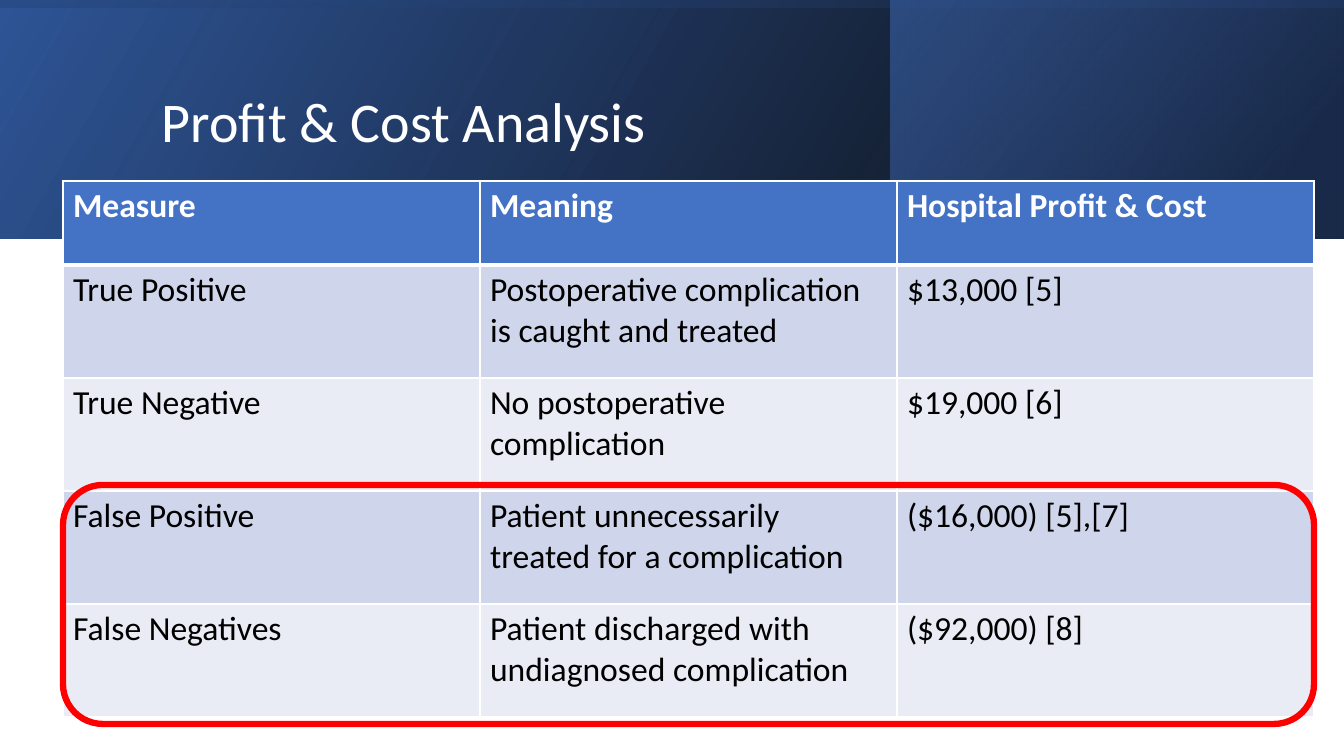
"""Build the Profit & Cost Analysis slide."""
from lxml import etree
from pptx import Presentation
from pptx.dml.color import RGBColor
from pptx.enum.shapes import MSO_SHAPE
from pptx.enum.text import MSO_ANCHOR
from pptx.oxml import parse_xml
from pptx.oxml.ns import nsdecls, qn
from pptx.util import Pt

RECTANGLE = MSO_SHAPE.RECTANGLE
ROUNDED = MSO_SHAPE.ROUNDED_RECTANGLE
MIDDLE = MSO_ANCHOR.MIDDLE

WHITE = RGBColor(0xFF, 0xFF, 0xFF)
BLACK = RGBColor(0x00, 0x00, 0x00)
RED = RGBColor(0xFF, 0x00, 0x00)
BLUE = RGBColor(0x44, 0x72, 0xC4)
MID_BLUE = RGBColor(0x2F, 0x55, 0x97)
NAVY = RGBColor(0x20, 0x38, 0x64)
BAND_DARK = RGBColor(0xCF, 0xD5, 0xEA)
BAND_LIGHT = RGBColor(0xE9, 0xEB, 0xF5)

FONT = "Calibri"
PX = 914400 / 100.8


def px(*lengths):
    return [round(length * PX) for length in lengths]


def write(frame, text, size=24, color=BLACK, bold=False, spacing=None):
    frame.word_wrap = True
    paragraph = frame.paragraphs[0]
    paragraph.line_spacing = spacing
    run = paragraph.add_run()
    run.text = text
    run.font.name = FONT
    run.font.size = Pt(size)
    run.font.bold = bold
    run.font.color.rgb = color


prs = Presentation()
prs.slide_width, prs.slide_height = px(1344, 756)
slide = prs.slides.add_slide(prs.slide_layouts[6])

BANNER_LAYERS = [
    ((0, 0, 1344, 239), 0, 330, [(0, BLACK, 96), (100, MID_BLUE, 100)]),
    ((891, 0, 452, 239), 0, 320, [(19, NAVY, 68), (100, BLUE, 48)]),
    ((552, -552, 239, 1344), 270, 350, [(23, MID_BLUE, 16), (99, BLACK, 45)]),
]
BANNER_LAYERS[0][3][1] = (100, MID_BLUE, 100)
for box, rotation, angle, stops in BANNER_LAYERS:
    layer = slide.shapes.add_shape(RECTANGLE, *px(*box))
    layer.shadow.inherit = False
    layer.rotation = rotation
    layer.line.fill.background()
    layer.fill.background()
    properties = layer._element.spPr
    properties.find(qn("a:xfrm")).set("flipH", "1")
    stop_xml = "".join(
        f'<a:gs pos="{position * 1000}"><a:srgbClr val="{color}">'
        f'<a:alpha val="{opacity * 1000}"/></a:srgbClr></a:gs>'
        for position, color, opacity in stops
    )
    gradient = parse_xml(
        f'<a:gradFill {nsdecls("a")} rotWithShape="1"><a:gsLst>{stop_xml}</a:gsLst>'
        f'<a:lin ang="{angle * 60000}" scaled="0"/></a:gradFill>'
    )
    properties.replace(properties.find(qn("a:noFill")), gradient)

title = slide.shapes.add_textbox(*px(152, 38, 1072, 173)).text_frame
title.vertical_anchor = MIDDLE
write(title, "Profit & Cost Analysis", size=40, color=WHITE, spacing=0.9)

MEASURES = [
    ("Measure", "Meaning", "Hospital Profit & Cost"),
    ("True Positive", "Postoperative complication is caught and treated", "$13,000 [5]"),
    ("True Negative", "No postoperative complication", "$19,000 [6]"),
    ("False Positive", "Patient unnecessarily treated for a complication", "($16,000) [5],[7]"),
    ("False Negatives", "Patient discharged with undiagnosed complication", "($92,000) [8]"),
]
measures = slide.shapes.add_table(5, 3, *px(63, 181, 1251, 536)).table
for column in measures.columns:
    column.width = px(417)[0]
for row_index, entries in enumerate(MEASURES):
    header = row_index == 0
    measures.rows[row_index].height = px(84 if header else 113)[0]
    band = BLUE if header else (BAND_LIGHT, BAND_DARK)[row_index % 2]
    edges = {
        "L": 1,
        "R": 1,
        "T": 3 if row_index == 1 else 1,
        "B": 3 if header else 1,
    }
    for column_index, entry in enumerate(entries):
        cell = measures.cell(row_index, column_index)
        write(cell.text_frame, entry, color=WHITE if header else BLACK, bold=header)
        cell_properties = cell._tc.get_or_add_tcPr()
        for side, points in edges.items():
            edge = etree.SubElement(cell_properties, qn(f"a:ln{side}"), w=str(Pt(points)))
            edge_fill = etree.SubElement(edge, qn("a:solidFill"))
            etree.SubElement(edge_fill, qn("a:srgbClr"), val=str(WHITE))
        cell.fill.solid()
        cell.fill.fore_color.rgb = band

false_outline = slide.shapes.add_shape(ROUNDED, *px(63, 485, 1251, 239))
false_outline.shadow.inherit = False
false_outline.fill.background()
false_outline.line.color.rgb = RED
false_outline.line.width = Pt(4.5)

prs.save("out.pptx")
